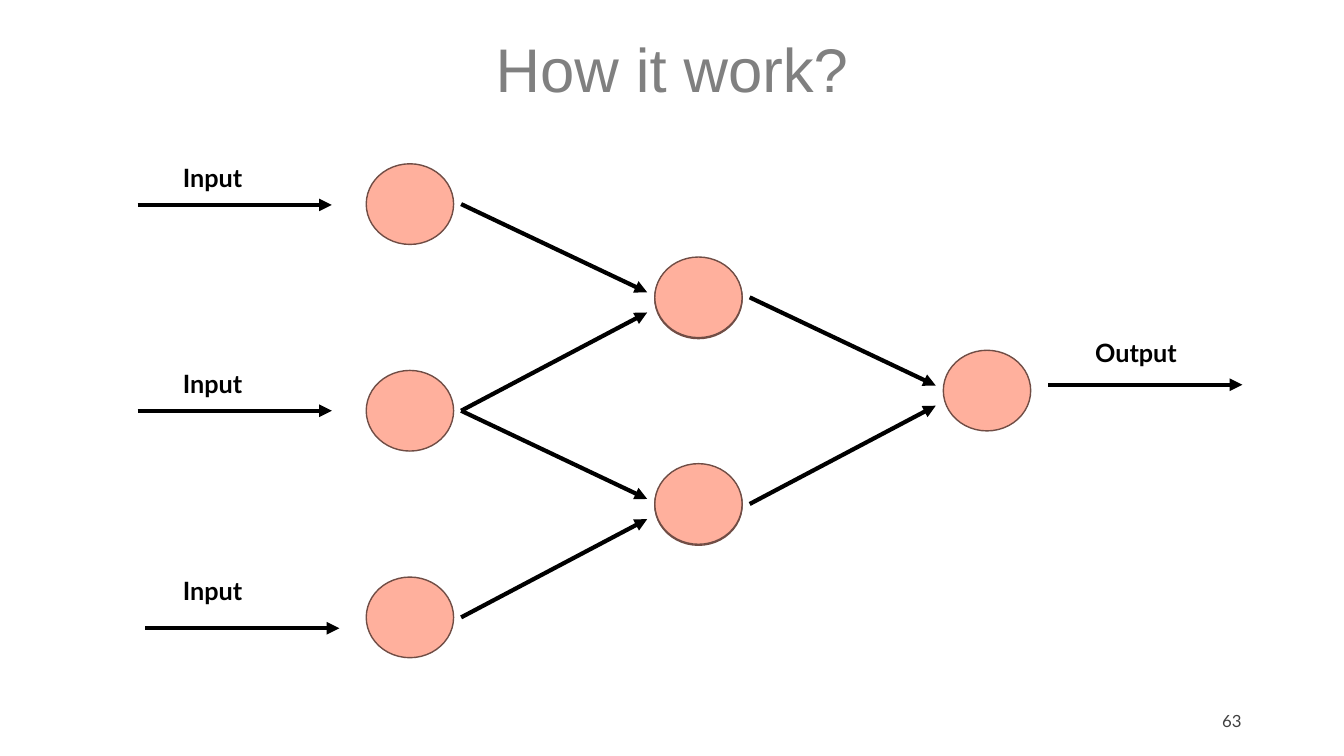
from dataclasses import dataclass

from lxml.etree import SubElement
from pptx import Presentation
from pptx.dml.color import RGBColor
from pptx.enum.shapes import MSO_CONNECTOR, MSO_SHAPE
from pptx.enum.text import MSO_ANCHOR, PP_ALIGN
from pptx.oxml.ns import qn
from pptx.util import Inches, Pt


@dataclass(frozen=True)
class Theme:
    head: str = "Arial"
    body: str = "Lato"
    title: str = "808080"
    number: str = "404040"
    ink: str = "000000"
    node: str = "FFB09D"
    edge: str = "704D45"
    big: int = 44
    mid: int = 18
    small: int = 12
    thick: int = 3
    thin: int = 1


class Board:
    """Draws on a slide measured in 160 columns by 90 rows."""

    def __init__(self, deck, theme):
        self.theme = theme
        self.col = deck.slide_width / 160
        self.row = deck.slide_height / 90
        self.shapes = deck.slides.add_slide(deck.slide_layouts[6]).shapes

    def scale(self, *cells):
        """Turn alternating columns and rows into lengths."""
        return [round(n * (self.row if i % 2 else self.col))
                for i, n in enumerate(cells)]

    def text(self, words, box, font, size, color, bold=False,
             align=PP_ALIGN.LEFT, anchor=MSO_ANCHOR.TOP, space=1.0):
        frame = self.shapes.add_textbox(*self.scale(*box)).text_frame
        frame.word_wrap = True
        frame.vertical_anchor = anchor
        para = frame.paragraphs[0]
        para.alignment = align
        para.line_spacing = space
        run = para.add_run()
        run.text = words
        run.font.name = font
        run.font.size = Pt(size)
        run.font.bold = bold
        run.font.color.rgb = RGBColor.from_string(color)

    def label(self, words, left, top):
        look = self.theme
        self.text(words, (left, top, 14.4, 4.8), look.body, look.mid,
                  look.ink, bold=True)

    def node(self, x, y):
        """Draw a neuron centred on x, y."""
        wide, high = 10.4, 9.6
        box = self.scale(x - wide / 2, y - high / 2, wide, high)
        disc = self.shapes.add_shape(MSO_SHAPE.FLOWCHART_CONNECTOR, *box)
        disc.shadow.inherit = False
        disc.fill.solid()
        disc.fill.fore_color.rgb = RGBColor.from_string(self.theme.node)
        disc.line.color.rgb = RGBColor.from_string(self.theme.edge)
        disc.line.width = Pt(self.theme.thin)

    def arrow(self, x1, y1, x2, y2):
        link = self.shapes.add_connector(
            MSO_CONNECTOR.STRAIGHT, *self.scale(x1, y1, x2, y2))
        link.line.color.rgb = RGBColor.from_string(self.theme.ink)
        link.line.width = Pt(self.theme.thick)
        props = link._element.spPr
        SubElement(props.find(qn("a:ln")), qn("a:tailEnd"), type="triangle")
        SubElement(props, qn("a:effectLst"))


PITCH = 24.6  # rows between neurons of one layer


def center(layer, rank):
    return 48.8 + 34.35 * layer, 24.3 + PITCH * rank + 11.1 * layer


def join(board, layer, start, end):
    """Link a neuron to one in the next layer, stopping short of both."""
    x1, y1 = center(layer, start)
    x2, y2 = center(layer + 1, end)
    shift = -0.6 if y2 > y1 else 1.8
    board.arrow(x1 + 6.1, y1, x2 - 6.1, y2 + shift)


def main():
    deck = Presentation()
    deck.slide_width, deck.slide_height = Inches(13.33), Inches(7.5)
    look = Theme()
    board = Board(deck, look)

    board.text("How it work?", (11, 2.3, 138, 12.6), look.head, look.big,
               look.title, align=PP_ALIGN.CENTER, anchor=MSO_ANCHOR.MIDDLE,
               space=0.9)
    board.text("63", (113, 83.4, 36, 4.8), look.body, look.small,
               look.number, align=PP_ALIGN.RIGHT, anchor=MSO_ANCHOR.MIDDLE)

    for layer, count in enumerate((3, 2, 1)):
        for rank in range(count):
            x, y = center(layer, rank)
            if layer == 1:  # the middle layer has a doubled rim
                board.node(x, y + 0.12)
            board.node(x, y)

    for layer, count in enumerate((2, 1)):
        for end in range(count):
            for start in (end, end + 1):
                join(board, layer, start, end)

    reach = 23.1
    for rank, (x, y) in enumerate(((16.4, 24.4), (16.4, 48.9), (17.3, 74.8))):
        board.arrow(x, y, x + reach, y)
        board.label("Input", 20.6, 18.7 + PITCH * rank)
    board.arrow(124.8, 45.8, 124.8 + reach, 45.8)
    board.label("Output", 129.2, 39.6)

    deck.save("out.pptx")


if __name__ == "__main__":
    main()
